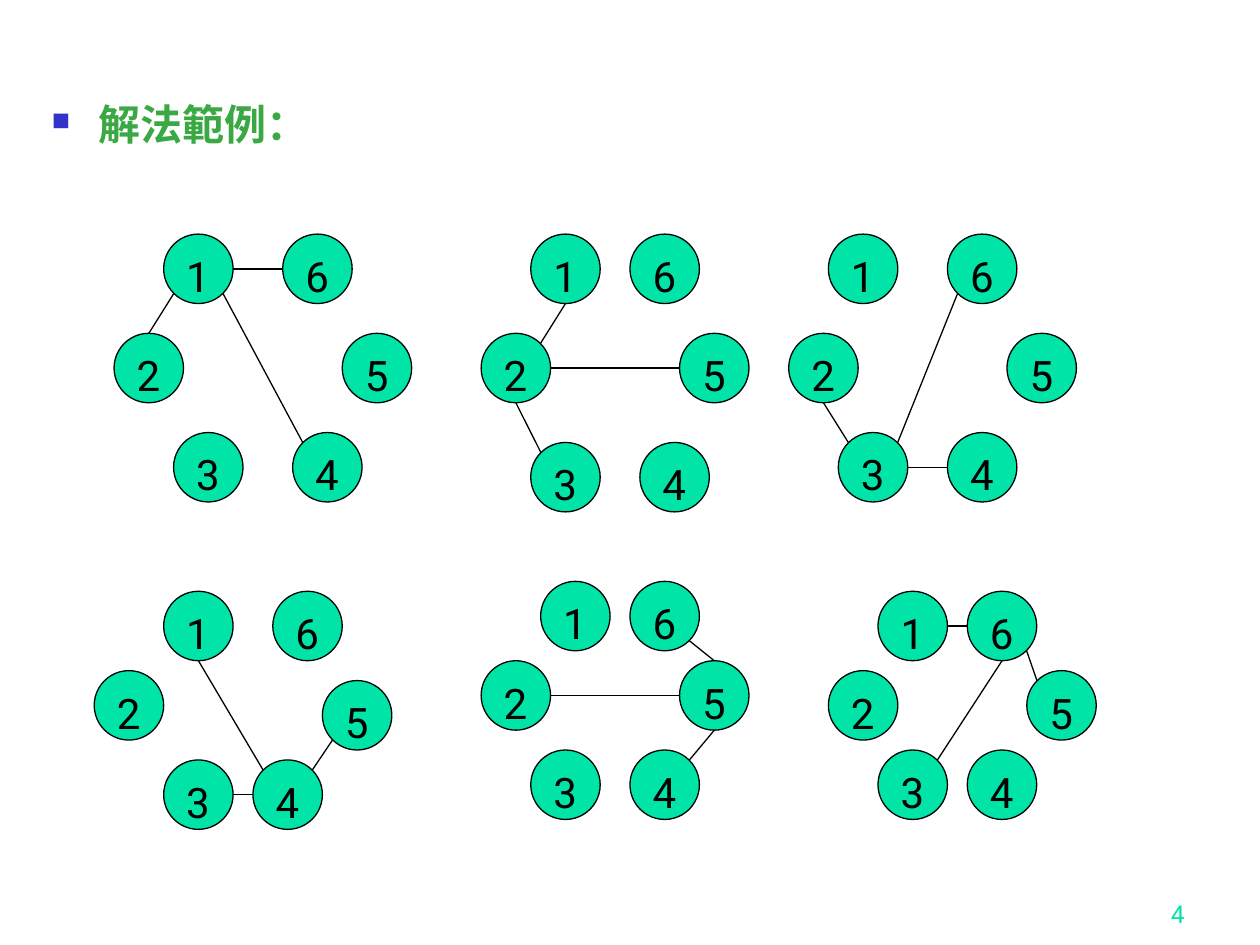
from dataclasses import dataclass
from math import cos, radians, sin

from lxml import etree
from pptx import Presentation
from pptx import util as u
from pptx.dml.color import RGBColor
from pptx.enum import shapes, text
from pptx.oxml import ns


@dataclass(frozen=True)
class Theme:
    node: RGBColor = RGBColor.from_string("00E4A8")
    ink: RGBColor = RGBColor.from_string("000000")
    head: RGBColor = RGBColor.from_string("3BA943")
    mark: str = "3333CC"
    sans: str = "Roboto"
    serif: str = "Times New Roman"
    big: int = 24
    small: int = 14
    rule: float = 0.75


LOOK = Theme()
SIZE = 1.4
PORTS = {"E": 0, "SE": 45, "S": 90, "SW": 135,
         "W": 180, "NW": 225, "N": 270, "NE": 315}

# Each graph: top-left corners of nodes 1 to 6, then edges between ports.
GRAPHS = [
    ([(3.3, 4.72), (2.3, 6.72), (3.5, 8.72), (5.9, 8.72), (6.9, 6.72), (5.7, 4.72)],
     [(1, "SW", 2, "N"), (1, "E", 6, "W"), (1, "SE", 4, "NW")]),
    ([(10.7, 4.72), (9.7, 6.72), (10.7, 8.92), (12.9, 8.92), (13.7, 6.72), (12.7, 4.72)],
     [(2, "NE", 1, "S"), (2, "S", 3, "NW"), (2, "E", 5, "W")]),
    ([(16.7, 4.72), (15.9, 6.72), (16.9, 8.72), (19.1, 8.72), (20.3, 6.72), (19.1, 4.72)],
     [(3, "E", 4, "W"), (3, "NW", 2, "S"), (3, "NE", 6, "SW")]),
    ([(3.3, 11.92), (1.9, 13.52), (3.3, 15.32), (5.1, 15.32), (6.5, 13.72), (5.5, 11.92)],
     [(4, "NE", 5, "SW"), (4, "W", 3, "E"), (4, "NW", 1, "S")]),
    ([(10.9, 11.72), (9.7, 13.32), (10.7, 15.12), (12.7, 15.12), (13.7, 13.32), (12.7, 11.72)],
     [(5, "N", 6, "SE"), (5, "S", 4, "NE"), (5, "W", 2, "E")]),
    ([(17.7, 11.92), (16.7, 13.52), (17.7, 15.12), (19.5, 15.12), (20.7, 13.52), (19.5, 11.92)],
     [(6, "SE", 5, "NW"), (6, "W", 1, "E"), (6, "S", 3, "NE")]),
]


def style(para, face, size, color, bold=False):
    font = para.font
    font.name, font.size, font.bold = face, u.Pt(size), bold
    font.color.rgb = color


def add_box(slide, x, y, w, h, words):
    box = slide.shapes.add_textbox(u.Cm(x), u.Cm(y), u.Cm(w), u.Cm(h))
    frame = box.text_frame
    frame.word_wrap = True
    frame.text = words
    return frame


def add_head(slide):
    para = add_box(slide, 0.79, 1.98, 22.43, 15.62, "解法範例：").paragraphs[0]
    para.line_spacing = 0.9
    props = para._p.get_or_add_pPr()
    props.set("marL", str(u.Cm(0.95)))
    props.set("indent", str(u.Cm(-0.95)))
    color = etree.SubElement(props, ns.qn("a:buClr"))
    etree.SubElement(color, ns.qn("a:srgbClr"), val=LOOK.mark)
    etree.SubElement(props, ns.qn("a:buSzPct"), val="60000")
    etree.SubElement(props, ns.qn("a:buChar"), char="■")
    style(para, LOOK.serif, LOOK.big, LOOK.head, True)


def add_page(slide):
    frame = add_box(slide, 18.85, 17.58, 5.28, 1.27, "4")
    frame.vertical_anchor = text.MSO_ANCHOR.BOTTOM
    para = frame.paragraphs[0]
    para.alignment = text.PP_ALIGN.RIGHT
    style(para, LOOK.sans, LOOK.small, LOOK.node)


def add_node(slide, num, x, y):
    node = slide.shapes.add_shape(
        shapes.MSO_SHAPE.OVAL, u.Cm(x), u.Cm(y), u.Cm(SIZE), u.Cm(SIZE))
    node.shadow.inherit = False
    node.fill.solid()
    node.fill.fore_color.rgb = LOOK.node
    node.line.color.rgb = LOOK.ink
    node.line.width = u.Pt(LOOK.rule)
    frame = node.text_frame
    frame.word_wrap = False
    frame.vertical_anchor = text.MSO_ANCHOR.TOP
    frame.text = str(num)
    para = frame.paragraphs[0]
    para.alignment = text.PP_ALIGN.LEFT
    style(para, LOOK.sans, LOOK.big, LOOK.ink)


def find_port(spot, port):
    x, y = spot
    turn, half = radians(PORTS[port]), SIZE / 2
    return u.Cm(x + half + half * cos(turn)), u.Cm(y + half + half * sin(turn))


def add_edge(slide, start, end):
    edge = slide.shapes.add_connector(shapes.MSO_CONNECTOR.STRAIGHT, *start, *end)
    edge.line.color.rgb = LOOK.ink
    edge.line.width = u.Pt(LOOK.rule)
    etree.SubElement(edge._element.spPr, ns.qn("a:effectLst"))


def main():
    deck = Presentation()
    deck.slide_width, deck.slide_height = u.Cm(25.4), u.Cm(19.05)
    slide = deck.slides.add_slide(deck.slide_layouts[6])
    add_page(slide)
    add_head(slide)
    for spots, _ in GRAPHS:
        for num, (x, y) in enumerate(spots, 1):
            add_node(slide, num, x, y)
    for spots, edges in GRAPHS:
        for a, out, b, into in edges:
            add_edge(slide, find_port(spots[a - 1], out), find_port(spots[b - 1], into))
    deck.save("out.pptx")


if __name__ == "__main__":
    main()
